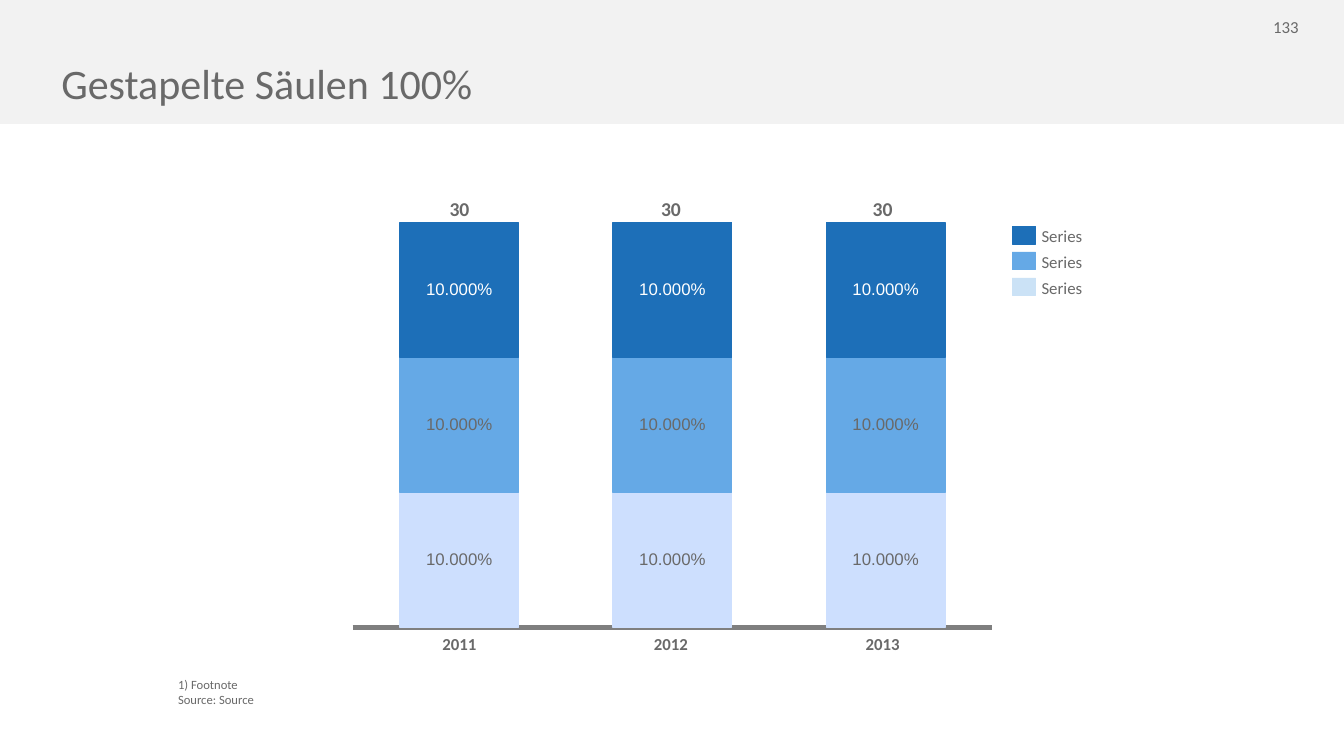
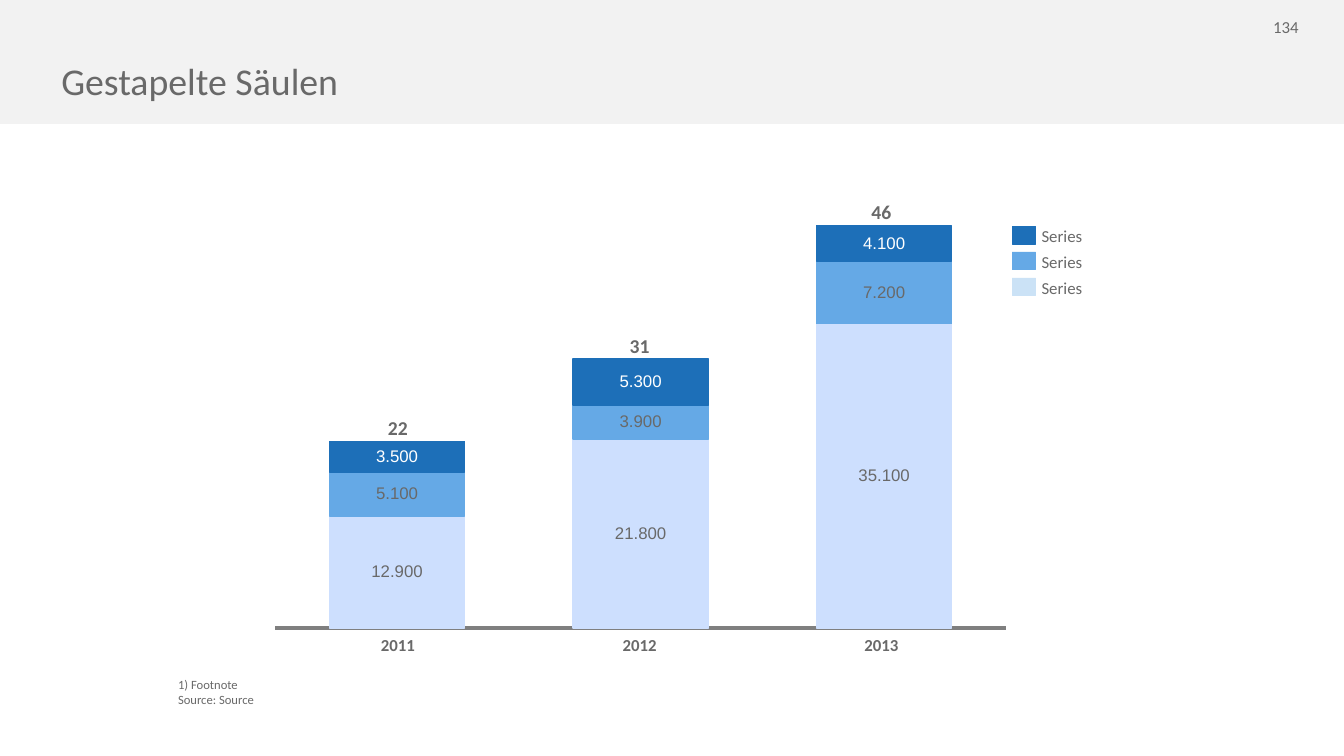
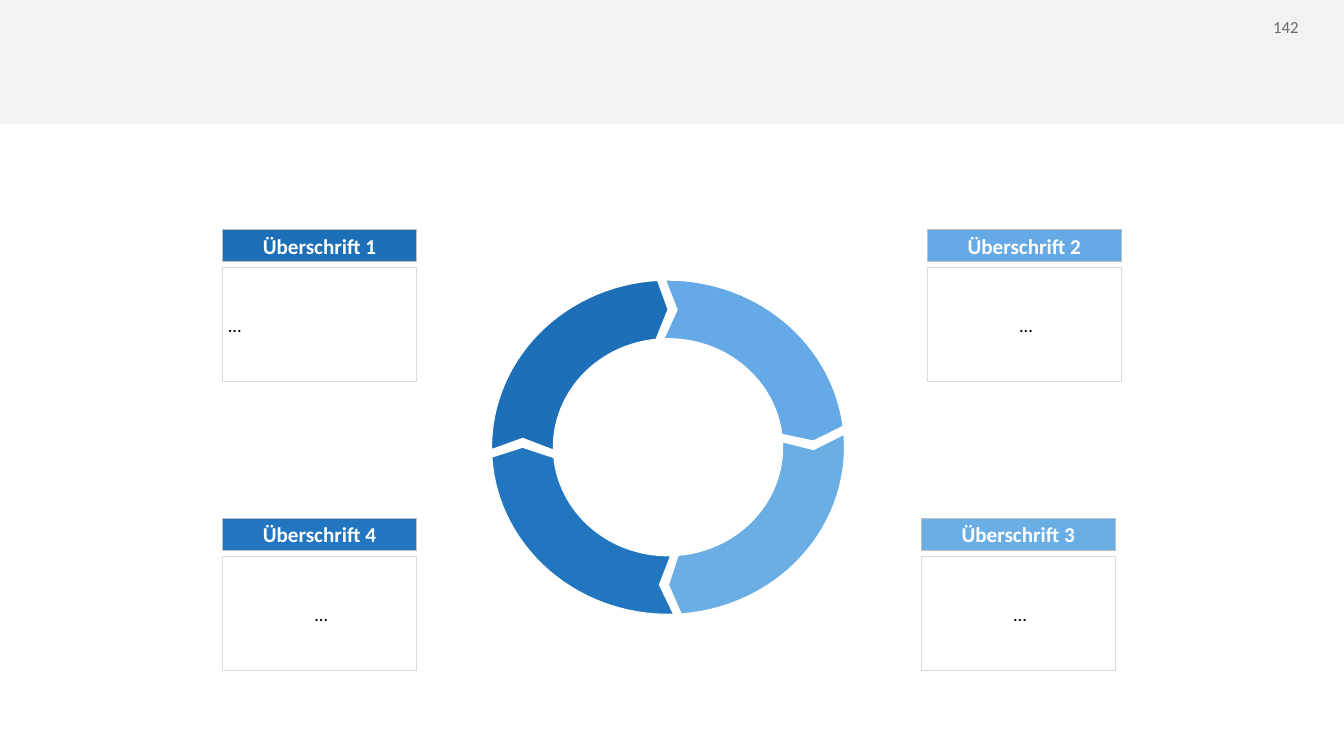
from math import cos, radians, sin

from lxml import etree
from pptx import Presentation
from pptx.chart.data import CategoryChartData
from pptx.dml.color import RGBColor
from pptx.enum.chart import XL_CHART_TYPE, XL_LABEL_POSITION, XL_TICK_LABEL_POSITION, XL_TICK_MARK
from pptx.enum.shapes import MSO_SHAPE
from pptx.enum.text import MSO_ANCHOR, MSO_AUTO_SIZE, PP_ALIGN
from pptx.oxml.ns import qn
from pptx.util import Cm, Pt

HUES = {
    "band": "F2F2F2", "text": "696969", "white": "FFFFFF", "black": "000000",
    "axis": "7F7F7F", "pale": "CDDFFE", "key": "CBE2F6", "mid": "65A9E6",
    "deep": "1D6FB8", "sky": "65AAE7", "soft": "6BADE5", "blue": "2176BF",
    "frame": "DBDBDB", "edge": "C0C0C0",
}
FONT = "Calibri"
BAND = (-0.43, 0, 68.63, 6.25)
TITLE = (2.84, 3.05, 62, 3.2)
PAGE = (62.69, 0.61, 3.25, 1.55)
NOTE = (8.46, 33.81, 50.75, 2.06)
LEGEND = (51, 11.4, 5, 3.5)
YEARS = ("2011", "2012", "2013")
PLAIN = (0, 0, 0, 0)
WIDE = (0.51, 0.25, 0.51, 0.25)
NORMAL = (0.25, 0.13, 0.25, 0.13)
TOP, MIDDLE, BOTTOM = MSO_ANCHOR.TOP, MSO_ANCHOR.MIDDLE, MSO_ANCHOR.BOTTOM
LEFT, CENTER, RIGHT = PP_ALIGN.LEFT, PP_ALIGN.CENTER, PP_ALIGN.RIGHT


def tint(name):
    return RGBColor.from_string(HUES[name])


def paint(shape, fill, edge=None, width=0.75):
    shape.fill.solid()
    shape.fill.fore_color.rgb = tint(fill)
    if edge:
        shape.line.color.rgb = tint(edge)
        shape.line.width = Pt(width)
    else:
        shape.line.fill.background()


def write(shape, lines, size, hue="text", bold=False, align=LEFT, anchor=TOP,
          pads=NORMAL, wrap=True, space=None, grow=False):
    frame = shape.text_frame
    frame.word_wrap = wrap
    frame.auto_size = MSO_AUTO_SIZE.SHAPE_TO_FIT_TEXT if grow else MSO_AUTO_SIZE.NONE
    frame.vertical_anchor = anchor
    (frame.margin_left, frame.margin_top,
     frame.margin_right, frame.margin_bottom) = map(Cm, pads)
    for i, line in enumerate(lines):
        para = frame.add_paragraph() if i else frame.paragraphs[0]
        para.alignment = align
        if space:
            para.line_spacing = space
        run = para.add_run()
        run.text = line
        font = run.font
        font.name, font.size, font.bold = FONT, Pt(size), bold
        font.color.rgb = tint(hue)


def add_text(slide, box, lines, size, **style):
    write(slide.shapes.add_textbox(*map(Cm, box)), lines, size, **style)


def add_rect(slide, box, fill, edge=None, width=0.75):
    rect = slide.shapes.add_shape(MSO_SHAPE.RECTANGLE, *map(Cm, box))
    rect.shadow.inherit = False
    paint(rect, fill, edge, width)
    return rect


def add_slide(deck, page, title=None, size=60):
    slide = deck.slides.add_slide(deck.slide_layouts[6])
    add_rect(slide, BAND, "band")
    add_text(slide, PAGE, [page], 24, align=RIGHT, pads=WIDE, grow=True)
    if title:
        add_text(slide, TITLE, [title], size, space=0.9)
    return slide


def set_plot(chart, plot):
    area = chart._chartSpace.chart.plotArea
    for old in area.findall(qn("c:layout")):
        area.remove(old)
    layout = etree.Element(qn("c:layout"))
    manual = etree.SubElement(layout, qn("c:manualLayout"))
    pairs = [("layoutTarget", "inner"), ("xMode", "edge"), ("yMode", "edge")]
    for tag, val in pairs + list(zip("xywh", plot)):
        etree.SubElement(manual, qn("c:" + tag)).set("val", str(val))
    area.insert(0, layout)


def style_axes(chart, peak):
    for axis in (chart.category_axis, chart.value_axis):
        axis.tick_label_position = XL_TICK_LABEL_POSITION.NONE
        axis.major_tick_mark = axis.minor_tick_mark = XL_TICK_MARK.NONE
        axis.has_major_gridlines = False
    line = chart.category_axis.format.line
    line.color.rgb = tint("axis")
    line.width = Pt(6)
    scale = chart.value_axis
    scale.format.line.fill.background()
    scale.minimum_scale, scale.maximum_scale = 0, peak


def add_chart(slide, box, plot, rows, code, peak):
    data = CategoryChartData(number_format=code)
    data.categories = ["1", "2", "3"]
    for i, row in enumerate(rows, 1):
        data.add_series(f"Series {i}", row)
    chart = slide.shapes.add_chart(
        XL_CHART_TYPE.COLUMN_STACKED, *map(Cm, box), data).chart
    chart.has_legend = chart.has_title = False
    chart.font.name, chart.font.size, chart.font.bold = "Cambria", Pt(24), True
    chart.font.color.rgb = tint("text")
    set_plot(chart, plot)
    style_axes(chart, peak)
    bars = chart.plots[0]
    bars.gap_width, bars.overlap, bars.vary_by_categories = 80, 100, False
    hues = (("pale", "text"), ("mid", "text"), ("deep", "white"))
    for part, (fill, ink) in zip(bars.series, hues):
        paint(part.format, fill, fill, 2)
        tags = part.data_labels
        tags.show_value = True
        tags.position = XL_LABEL_POSITION.CENTER
        tags.number_format, tags.number_format_is_linked = code, False
        tags.font.name, tags.font.size, tags.font.bold = "Arial", Pt(24), False
        tags.font.color.rgb = tint(ink)


def add_legend(slide, box):
    left, top = box[:2]
    for i, fill in enumerate(("deep", "mid", "key")):
        y = top + 1.3 * i
        add_rect(slide, (left, y, 1.19, 0.89), fill, fill)
        add_text(slide, (left + 1.48, y - 0.02, 2.39, 1.02), ["Series"], 24,
                 anchor=MIDDLE, pads=PLAIN, wrap=False)


def add_stack(slide, box, plot, rows, code, first, step):
    sums = [round(sum(col), 1) for col in zip(*rows)]
    peak = max(sums)
    add_chart(slide, box, plot, rows, code, peak)
    base = box[1] + box[3] * (plot[1] + plot[3])
    for i, (year, total) in enumerate(zip(YEARS, sums)):
        x = first + step * i
        crest = base - box[3] * plot[3] * total / peak - 0.1
        add_text(slide, (x - 0.96, base + 0.32, 1.92, 1.02), [year], 24,
                 bold=True, align=CENTER, pads=PLAIN)
        add_text(slide, (x - 0.69, crest - 1.19, 1.38, 1.19), [f"{total:.0f}"], 28,
                 bold=True, align=CENTER, anchor=BOTTOM,
                 pads=(0.15, 0, 0.15, 0), wrap=False)
    add_legend(slide, LEGEND)
    add_text(slide, NOTE, ["1) Footnote", "Source: Source"], 18,
             anchor=BOTTOM, pads=WIDE, grow=True)


def add_card(slide, box, head, fill, align=CENTER):
    left, top, wide, high = box
    body = add_rect(slide, (left, top + 1.88, wide, high - 1.88), "white", "frame")
    write(body, ["..."], 26.5, hue="black", align=align, anchor=MIDDLE,
          pads=(0.28, 0.13, 0.1, 0.13), space=1.1)
    bar = add_rect(slide, (left, top, wide, 1.6), fill, "edge", 1)
    write(bar, [head], 30.2, hue="white", bold=True, align=CENTER,
          anchor=MIDDLE, wrap=False)


def add_wedge(slide, box, fill, outer, inner, tail, tip):
    left, top, wide, high = box

    def spot(turn, ratio):
        x = left + wide / 2 * (1 + ratio * cos(radians(turn)))
        y = top + high / 2 * (1 + ratio * sin(radians(turn)))
        return Cm(x), Cm(y)

    def arc(start, end, ratio, count=30):
        return [spot(start + (end - start) * i / count, ratio) for i in range(count + 1)]

    points = (arc(*outer, 1) + [spot(tip, 0.825)]
              + arc(*reversed(inner), 0.65) + [spot(tail, 0.825)])
    path = slide.shapes.build_freeform(*points[0])
    path.add_line_segments(points[1:], close=True)
    wedge = path.convert_to_shape()
    wedge.shadow.inherit = False
    paint(wedge, fill, "white", 1.5)


def add_ring(slide, box):
    wedges = (
        ("deep", (179.2, 266.6), (178.5, 264), 183.7, 270),
        ("blue", (88.2, 176.6), (88.7, 174.5), 93.4, 180),
        ("sky", (269.2, 352.8), (268, 353.2), 273.6, 357.4),
        ("soft", (-4.4, 85.7), (-2.8, 85), 1, 89.8),
    )
    for wedge in wedges:
        add_wedge(slide, box, *wedge)


def add_cycle(slide):
    cards = (
        (46.71, 11.58, "Überschrift 2", "sky", CENTER),
        (46.41, 26.14, "Überschrift 3", "soft", CENTER),
        (11.2, 26.14, "Überschrift 4", "blue", CENTER),
        (11.2, 11.58, "Überschrift 1", "deep", LEFT),
    )
    for left, top, head, fill, align in cards:
        add_card(slide, (left, top, 9.8, 7.65), head, fill, align)
    add_ring(slide, (24.77, 14.12, 17.78, 16.84))


def main():
    deck = Presentation()
    deck.slide_width, deck.slide_height = Cm(67.72), Cm(38.1)
    add_stack(add_slide(deck, "133", "Gestapelte Säulen 100%"),
              (17.27, 10.72, 32.99, 21.16), (0.015, 0.023, 0.977, 0.965),
              [(10, 10, 10)] * 3, '#.##0"%";\\-#.##0"%"', 23.15, 10.66)
    add_stack(add_slide(deck, "134", "Gestapelte Säulen", 54),
              (13.46, 10.95, 37.49, 20.93), (0.011, 0.02, 0.982, 0.969),
              [(12.9, 21.8, 35.1), (5.1, 3.9, 7.2), (3.5, 5.3, 4.1)],
              "#.##0;\\-#.##0", 20.05, 12.18)
    add_cycle(add_slide(deck, "142"))
    deck.save("out.pptx")


if __name__ == "__main__":
    main()
